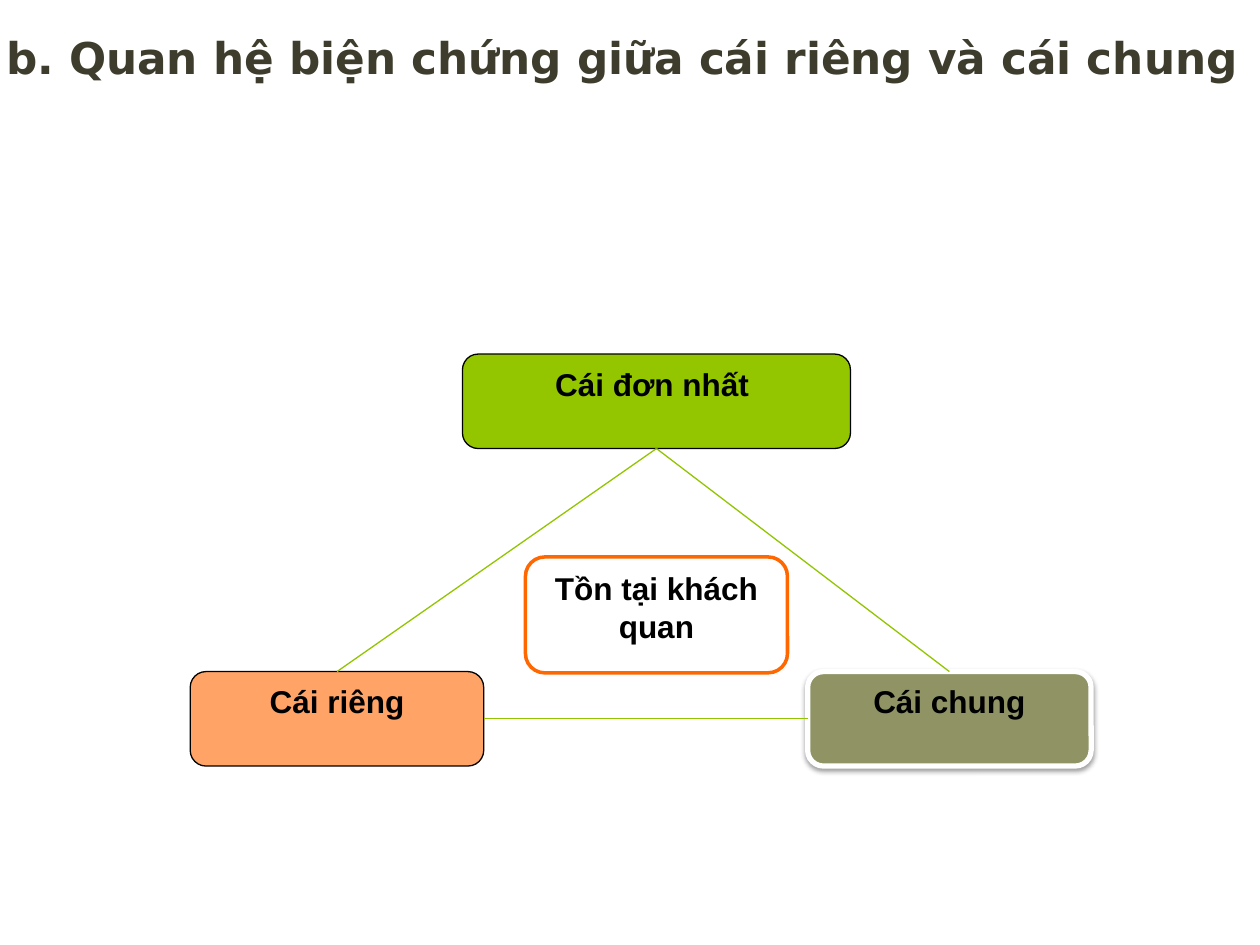
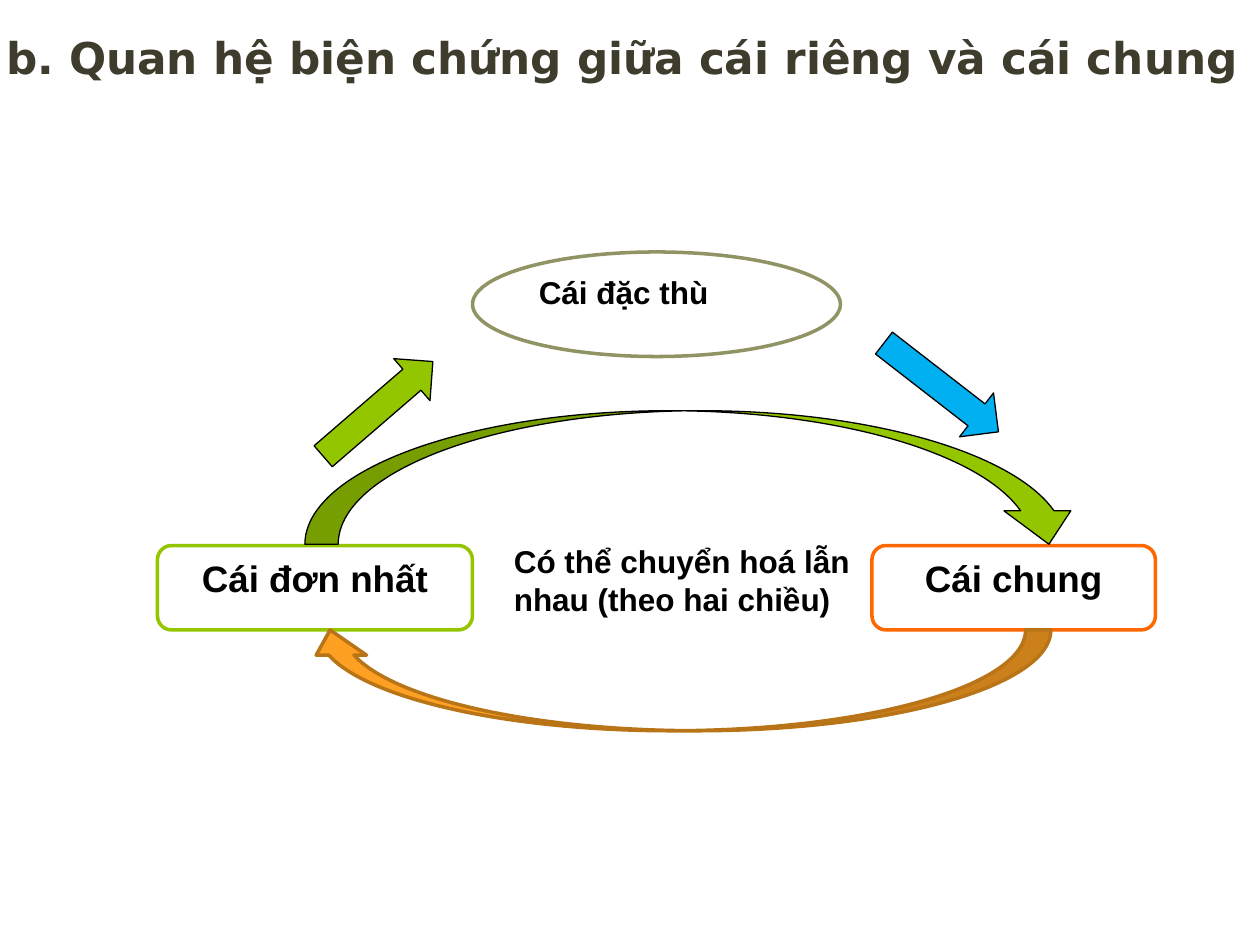
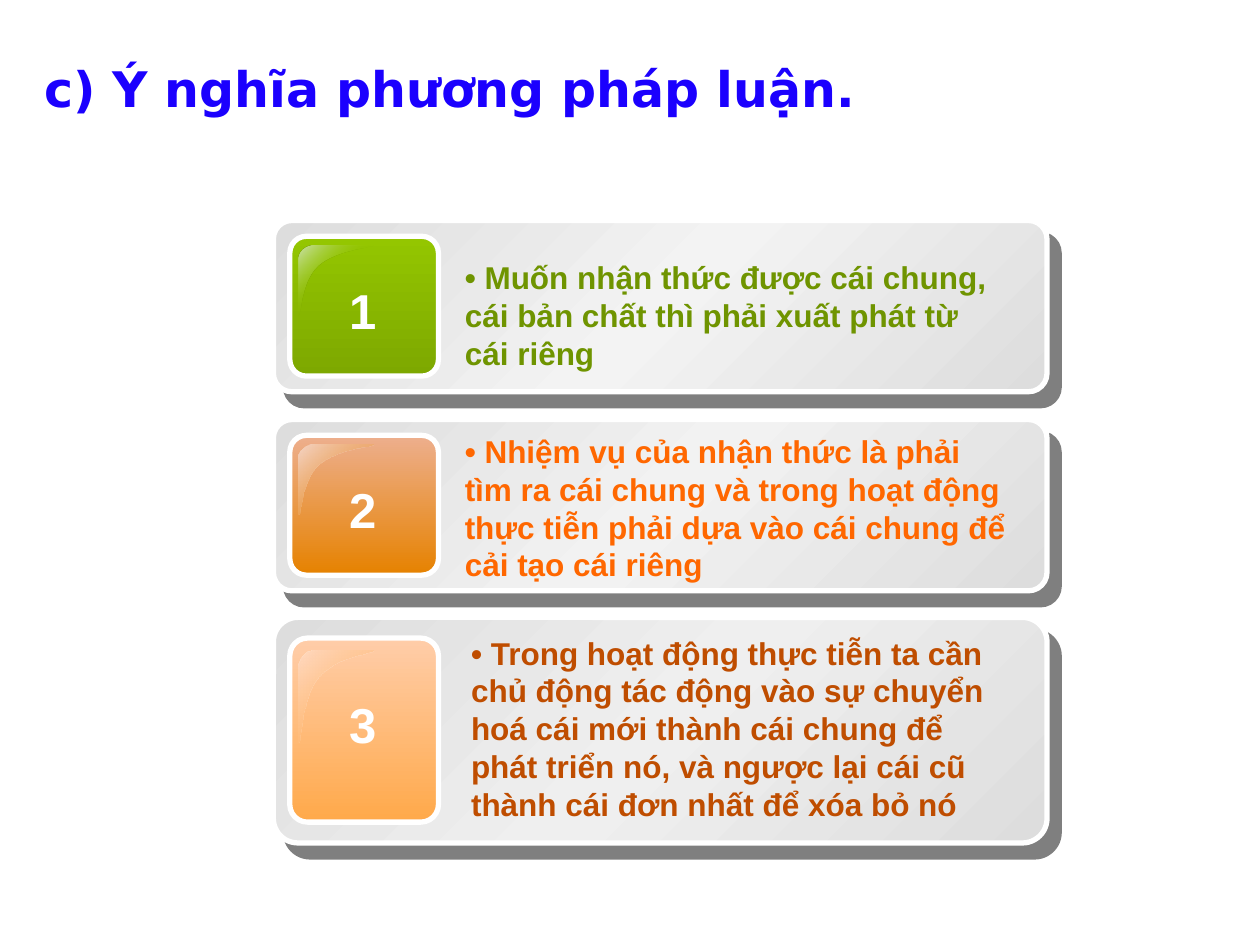
import dataclasses
import typing

import pptx
import pptx.dml.color
import pptx.enum.shapes
import pptx.enum.text
import pptx.oxml
import pptx.oxml.ns
import pptx.util

Inches = pptx.util.Inches
SHAPE = pptx.enum.shapes.MSO_SHAPE
ALIGN = pptx.enum.text.PP_ALIGN
ANCHOR = pptx.enum.text.MSO_ANCHOR
AUTO = pptx.enum.text.MSO_AUTO_SIZE


@dataclasses.dataclass(frozen=True)
class Theme:
    body_font: str = "Arial"
    title_font: str = "DejaVu Sans"
    white: str = "FFFFFF"
    black: str = "000000"
    green: str = "94C600"
    edge: str = "92C500"
    orange: str = "FF6700"
    peach: str = "FFA366"
    olive: str = "909465"
    amber: str = "FEA022"
    brown: str = "B97418"
    sky: str = "00B0F0"
    title_dark: str = "3E3D2D"
    title_blue: str = "1B00FE"
    panel_edge: str = "DDDDDD"
    title: float = 25
    heading: float = 28
    label: float = 21
    text: float = 18
    thin: float = 0.75
    medium: float = 2
    thick: float = 3


T = Theme()
RELATION_TITLE = "b. Quan hệ biện chứng giữa cái riêng và cái chung"


class Box(typing.NamedTuple):
    x: float
    y: float
    w: float
    h: float

    def inner(self, dx, dy, w, h):
        return Box(self.x + dx, self.y + dy, w, h)

    def emu(self):
        return [Inches(v) for v in self]


def rgb(color):
    return pptx.dml.color.RGBColor.from_string(color)


def assign(obj, values):
    for name, value in values.items():
        setattr(obj, name, value)


def write(sp, text, size=T.text, color=T.black, font=T.body_font,
          align=ALIGN.CENTER, anchor=ANCHOR.TOP, auto=AUTO.NONE):
    tf = sp.text_frame
    assign(tf, {"word_wrap": True, "vertical_anchor": anchor, "auto_size": auto,
                "margin_left": Inches(0.1), "margin_right": Inches(0.1),
                "margin_top": Inches(0.05), "margin_bottom": Inches(0.05)})
    p = tf.paragraphs[0]
    p.alignment = align
    r = p.add_run()
    r.text = text
    assign(r.font, {"name": font, "size": pptx.util.Pt(size), "bold": True})
    r.font.color.rgb = rgb(color)


def gradient(sp, stops, angle):
    marks = "".join(
        f'<a:gs pos="{pos * 1000}"><a:srgbClr val="{color}">'
        f'<a:alpha val="{alpha * 1000}"/></a:srgbClr></a:gs>'
        for pos, color, alpha in stops)
    sp.fill.background()
    spPr = sp._element.spPr
    spPr.replace(spPr.find(pptx.oxml.ns.qn("a:noFill")), pptx.oxml.parse_xml(
        f'<a:gradFill {pptx.oxml.ns.nsdecls("a")} rotWithShape="1">'
        f'<a:gsLst>{marks}</a:gsLst>'
        f'<a:lin ang="{angle * 60000}" scaled="0"/></a:gradFill>'))


def cast_shadow(sp, alpha, blur, dist, angle):
    effects = sp._element.spPr.find(pptx.oxml.ns.qn("a:effectLst"))
    effects.append(pptx.oxml.parse_xml(
        f'<a:outerShdw {pptx.oxml.ns.nsdecls("a")} blurRad="{int(blur * 12700)}" '
        f'dist="{int(dist * 12700)}" dir="{angle * 60000}" algn="ctr" rotWithShape="0">'
        f'<a:srgbClr val="{T.black}"><a:alpha val="{alpha * 1000}"/></a:srgbClr>'
        f'</a:outerShdw>'))


def add_shape(shapes, kind, box, fill, line, width, adj=()):
    sp = shapes.add_shape(kind, *box.emu())
    sp.shadow.inherit = False
    for i, value in enumerate(adj):
        sp.adjustments[i] = value
    if fill:
        sp.fill.solid()
        sp.fill.fore_color.rgb = rgb(fill)
    sp.line.color.rgb = rgb(line)
    sp.line.width = pptx.util.Pt(width)
    return sp


def add_node(s, box, text, fill, line, width, size=T.text):
    sp = add_shape(s.shapes, SHAPE.ROUNDED_RECTANGLE, box, fill, line, width, [0.167])
    write(sp, text, size)
    return sp


def add_text(shapes, box, text, **style):
    write(shapes.add_textbox(*box.emu()), text, auto=AUTO.SHAPE_TO_FIT_TEXT, **style)


def add_edge(s, start, start_site, end, end_site):
    line = s.shapes.add_connector(pptx.enum.shapes.MSO_CONNECTOR.STRAIGHT, 0, 0, 0, 0)
    line.begin_connect(start, start_site)
    line.end_connect(end, end_site)
    line.line.color.rgb = rgb(T.edge)
    line.line.width = pptx.util.Pt(T.thin)
    line._element.spPr.append(
        pptx.oxml.parse_xml(f'<a:effectLst {pptx.oxml.ns.nsdecls("a")}/>'))


def new_slide(prs, box, title, **style):
    s = prs.slides.add_slide(prs.slide_layouts[5])
    assign(s.shapes.title, dict(zip(("left", "top", "width", "height"), box.emu())))
    write(s.shapes.title, title, font=T.title_font, anchor=ANCHOR.MIDDLE, **style)
    return s


def relation_slide(prs):
    return new_slide(prs, Box(-0.15, 0.17, 10.17, 0.56), RELATION_TITLE,
                     size=T.title, color=T.title_dark)


def triangle(s, box):
    single = add_node(s, box.inner(2.16, 0, 3.08, 0.75), "Cái đơn nhất ",
                      T.green, T.black, T.thin)
    add_node(s, box.inner(2.66, 1.61, 2.08, 0.92), "Tồn tại khách quan",
             T.white, T.orange, T.medium)
    particular = add_node(s, box.inner(0, box.h - 0.75, 2.33, 0.75), "Cái riêng",
                          T.peach, T.black, T.thin)
    general = add_node(s, box.inner(box.w - 2.25, box.h - 0.75, 2.25, 0.75), "Cái chung",
                       T.olive, T.white, T.thick)
    cast_shadow(general, 38, 3.1, 1.6, 90)
    top, left, bottom, right = range(4)
    add_edge(s, single, bottom, particular, top)
    add_edge(s, single, bottom, general, top)
    add_edge(s, particular, right, general, left)


def cycle(s, box):
    add_node(s, box.inner(0, 2.33, 2.5, 0.67), "Cái đơn nhất",
             T.white, T.green, T.medium, T.label)
    add_node(s, box.inner(box.w - 2.25, 2.33, 2.25, 0.67), "Cái chung",
             T.white, T.orange, T.medium, T.label)
    curve = [0.25, 0.5, 0.25]
    add_shape(s.shapes, SHAPE.CURVED_DOWN_ARROW, box.inner(1.17, 1.26, 6.17, 1.06),
              T.green, T.black, T.thin, curve)
    back = add_shape(s.shapes, SHAPE.CURVED_UP_ARROW, box.inner(1.17, 3, 5.92, 0.8),
                     T.amber, T.brown, T.medium, curve)
    back._element.spPr.find(pptx.oxml.ns.qn("a:xfrm")).set("flipH", "1")
    add_text(s.shapes, box.inner(2.73, 2.25, 2.9, 0.71),
             "Có thể chuyển hoá lẫn nhau (theo hai chiều)", align=ALIGN.LEFT)
    special = add_shape(s.shapes, SHAPE.OVAL, box.inner(2.5, 0, 2.92, 0.83),
                        T.white, T.olive, T.medium)
    write(special, "Cái đặc thù", align=ALIGN.LEFT)
    for dx, dy, rotation, fill in ((1.53, 0.67, 229.2, T.green), (6, 0.5, 307.8, T.sky)):
        arrow = add_shape(s.shapes, SHAPE.DOWN_ARROW, box.inner(dx, dy, 0.44, 1.15),
                          fill, T.black, T.thin, [0.5, 0.5])
        arrow.rotation = rotation


def bezier(points, steps=12):
    for i in range(1, steps + 1):
        t = i / steps
        weights = ((1 - t) ** 3, 3 * t * (1 - t) ** 2, 3 * t ** 2 * (1 - t), t ** 3)
        yield tuple(sum(w * p[axis] for w, p in zip(weights, points)) for axis in (0, 1))


def add_gloss(shapes, box, stops):
    outline = [
        (0.2, 0),
        *bezier([(0.2, 0), (0.1, 0), (0, 0.09), (0, 0.2)]),
        (0, 1),
        *bezier([(0, 1), (0.05, 1), (0.03, 0.52), (0.27, 0.29)]),
        *bezier([(0.27, 0.29), (0.53, 0.05), (1.02, 0.04), (1, 0)]),
    ]
    points = [(Inches(box.x + u * box.w), Inches(box.y + v * box.h)) for u, v in outline]
    builder = shapes.build_freeform(*points[0])
    builder.add_line_segments(points[1:], close=True)
    sp = builder.convert_to_shape()
    sp.shadow.inherit = False
    sp.line.fill.background()
    gradient(sp, stops, 45)


def card(s, box, number, text, color, middle, badge_colors, gloss_stops, text_at, text_h):
    shapes = s.shapes.add_group_shape().shapes
    panel = add_shape(shapes, SHAPE.ROUNDED_RECTANGLE, box, None, T.white, T.thick, [0.109])
    gradient(panel, [(0, T.panel_edge, 100), (50, middle, 100), (100, T.panel_edge, 100)], 45)
    cast_shadow(panel, 50, 0, 10.6, 49)

    badge_h = 0.816 * box.h
    badge_box = box.inner(0.13, (box.h - badge_h) / 2, 1.18, badge_h)
    badge = add_shape(shapes, SHAPE.ROUNDED_RECTANGLE, badge_box, None,
                      T.white, T.thick, [0.119])
    start, end = badge_colors
    gradient(badge, [(0, start, 100), (100, end, 100)], 90)
    add_gloss(shapes, badge_box.inner(0.07, 0.065 * badge_h, 0.59, badge_h / 2), gloss_stops)
    add_text(shapes, badge_box.inner(0.37, 0.27 * badge_h, 0.42, 0.57), str(number),
             size=T.heading, color=T.white)
    add_text(shapes, box.inner(*text_at, 4.51, text_h), text, color=color, align=ALIGN.LEFT)


def method_cards(s, box):
    cards = (
        (0, 1.36, "• Muốn nhận thức được cái chung, cái bản chất thì phải xuất phát từ cái riêng",
         "6F9400", "F3F3F3", (T.green, "7DA800"),
         [(0, "CDE2B2", 100), (50, T.green, 0), (100, "CDE2B2", 100)], (1.42, 0.25), 1.01),
        (1.58, 1.36, "• Nhiệm vụ của nhận thức là phải tìm ra cái chung và trong hoạt động "
         "thực tiễn phải dựa vào cái chung để cải tạo cái riêng",
         T.orange, "F2F2F2", ("EDAF8E", "E68200"),
         [(0, "F5D5C7", 100), (100, "E68200", 0)], (1.42, 0.05), 1.31),
        (3.15, 1.79, "• Trong hoạt động thực tiễn ta cần chủ động tác động vào sự chuyển hoá "
         "cái mới thành cái chung để phát triển nó, và ngược lại cái cũ thành cái đơn nhất "
         "để xóa bỏ nó",
         "BF4D00", "EFEFEF", ("FFCDA9", "FFA94A"),
         [(0, "FFDAC2", 100), (100, "FFA94A", 0)], (1.47, 0.08), 1.62),
    )
    for number, (dy, h, *content) in enumerate(cards, 1):
        card(s, box.inner(0, dy, box.w, h), number, *content)


def main():
    prs = pptx.Presentation()
    assign(prs, {"slide_width": Inches(10), "slide_height": Inches(7.5)})
    triangle(relation_slide(prs), Box(1.51, 2.81, 7.15, 3.27))
    cycle(relation_slide(prs), Box(1.25, 2, 7.92, 3.8))
    s = new_slide(prs, Box(0.25, 0.45, 7.9, 0.5), "c) Ý nghĩa phương pháp luận.",
                  size=T.heading, color=T.title_blue, align=ALIGN.LEFT)
    method_cards(s, Box(2.17, 1.75, 6.14, 4.94))
    prs.save("out.pptx")


if __name__ == "__main__":
    main()
